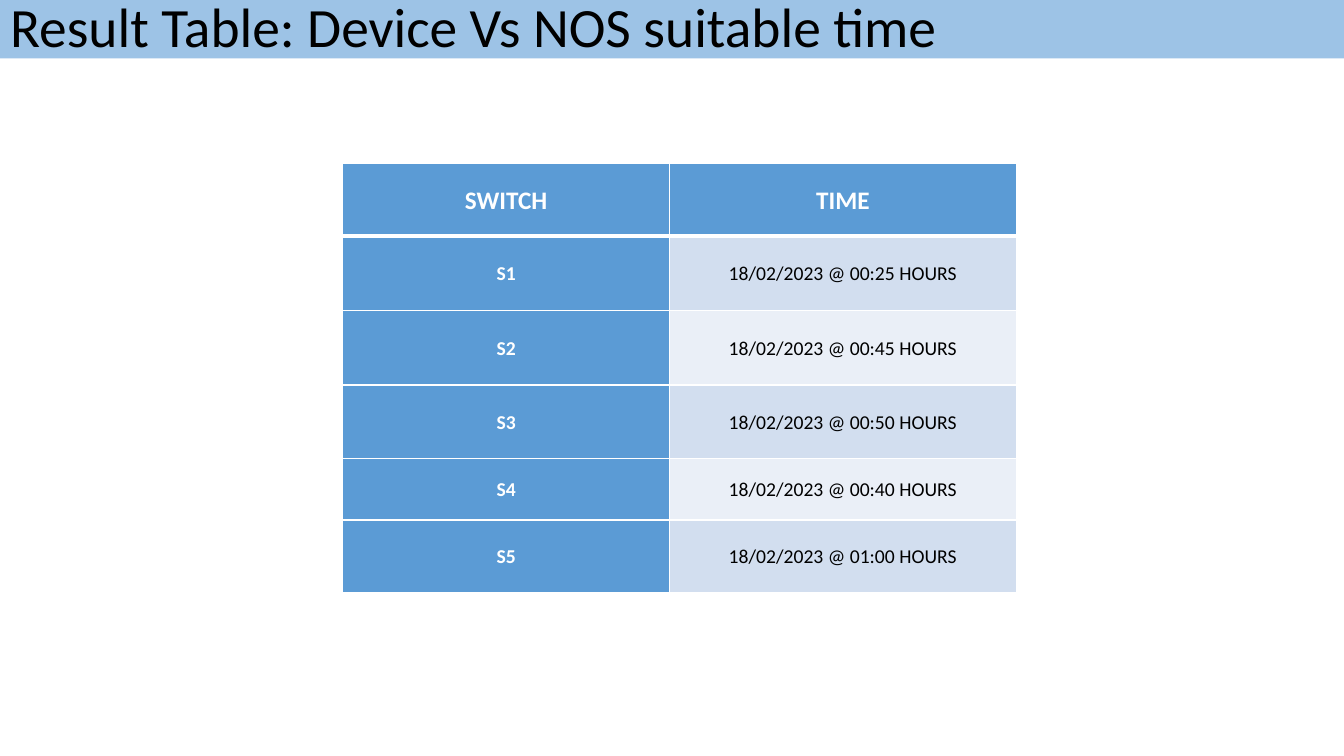
import pptx
import pptx.dml.color
import pptx.enum.text
import pptx.oxml
import pptx.oxml.ns
import pptx.util

WIDTH, HEIGHT = 13.33, 7.5
FONT = "Calibri"
BLACK, WHITE = "000000", "FFFFFF"
BANNER, ACCENT = "9DC3E6", "5B9BD5"
BANDS = ["D2DEEF", "EAEFF7"]
COLUMN_WIDTHS = [3.24, 3.44]
ROW_HEIGHTS = [0.72, 0.74, 0.74, 0.73, 0.61, 0.72]
HEADERS = ["SWITCH", "TIME"]
TIMES = ["00:25", "00:45", "00:50", "00:40", "01:00"]

Inches = pptx.util.Inches
Pt = pptx.util.Pt
PP_ALIGN = pptx.enum.text.PP_ALIGN
MSO_ANCHOR = pptx.enum.text.MSO_ANCHOR


def set_color(fmt, color):
    if hasattr(fmt, "solid"):
        fmt.solid()
        fmt = fmt.fore_color
    fmt.rgb = pptx.dml.color.RGBColor.from_string(color)


def style_paragraph(p, size, color, align, line_spacing, bold=False):
    p.alignment = align
    p.line_spacing = line_spacing
    p.font.name = FONT
    p.font.size = Pt(size)
    p.font.bold = bold
    set_color(p.font.color, color)


def add_title(slide, text):
    sp = slide.shapes.title
    sp.left = sp.top = 0
    sp.width, sp.height = Inches(WIDTH), Inches(0.58)
    set_color(sp.fill, BANNER)
    tf = sp.text_frame
    tf.text = text
    tf.word_wrap = True
    tf.auto_size = pptx.enum.text.MSO_AUTO_SIZE.NONE
    tf.vertical_anchor = MSO_ANCHOR.MIDDLE
    style_paragraph(tf.paragraphs[0], 39.6, BLACK, PP_ALIGN.LEFT, 0.9)


def add_borders(cell, widths):
    tcPr = cell._tc.get_or_add_tcPr()
    for side in "LRTB":
        tcPr.append(pptx.oxml.parse_xml(
            f'<a:ln{side} {pptx.oxml.ns.nsdecls("a")} w="{Pt(widths.get(side, 1))}">'
            f'<a:solidFill><a:srgbClr val="{WHITE}"/></a:solidFill></a:ln{side}>'))


def fill_cell(cell, text, row, col):
    header = row == 0
    accented = header or col == 0
    borders = {"B": 3} if header else {"T": 3} if row == 1 else {}
    add_borders(cell, borders)
    set_color(cell.fill, ACCENT if accented else BANDS[(row - 1) % 2])
    cell.margin_left = cell.margin_right = Inches(0.07)
    cell.margin_top = cell.margin_bottom = 0
    cell.vertical_anchor = MSO_ANCHOR.MIDDLE
    cell.text = text
    p = cell.text_frame.paragraphs[0]
    style_paragraph(p, 18 if header else 14, WHITE if accented else BLACK,
                    PP_ALIGN.CENTER, 1.07, accented)
    p.space_after = Pt(8)


def add_time_table(slide, rows, left, top):
    table = slide.shapes.add_table(
        len(rows), len(COLUMN_WIDTHS), Inches(left), Inches(top),
        Inches(sum(COLUMN_WIDTHS)), Inches(sum(ROW_HEIGHTS))).table
    for column, width in zip(table.columns, COLUMN_WIDTHS):
        column.width = Inches(width)
    for row, height in zip(table.rows, ROW_HEIGHTS):
        row.height = Inches(height)
    for i, values in enumerate(rows):
        for j, text in enumerate(values):
            fill_cell(table.cell(i, j), text, i, j)


def main():
    prs = pptx.Presentation()
    prs.slide_width, prs.slide_height = Inches(WIDTH), Inches(HEIGHT)
    slide = prs.slides.add_slide(prs.slide_layouts.get_by_name("Title Only"))
    add_title(slide, "Result Table: Device Vs NOS suitable time")
    results = [[f"S{n}", f"18/02/2023 @ {time} HOURS"]
               for n, time in enumerate(TIMES, 1)]
    add_time_table(slide, [HEADERS] + results, 3.4, 1.62)
    prs.save("out.pptx")


if __name__ == "__main__":
    main()
